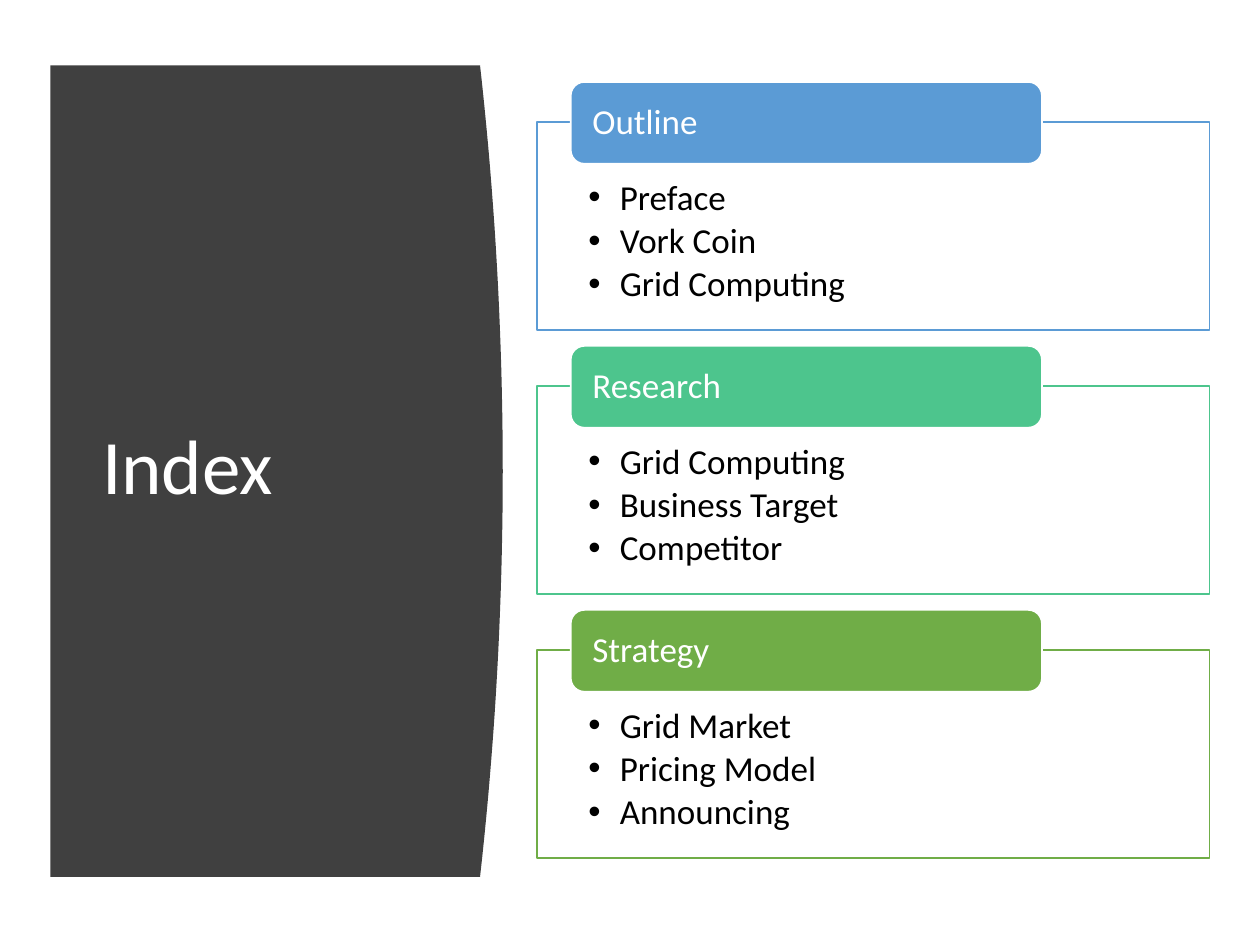
from lxml.etree import SubElement
from pptx import Presentation
from pptx.dml.color import RGBColor
from pptx.enum.shapes import MSO_SHAPE
from pptx.enum.text import MSO_ANCHOR, PP_ALIGN
from pptx.oxml.ns import qn
from pptx.util import Inches, Pt

TITLE = "Index"
SECTIONS = [
    ("Outline", "blue", ["Preface", "Vork Coin", "Grid Computing"]),
    ("Research", "mint", ["Grid Computing", "Business Target", "Competitor"]),
    ("Strategy", "green", ["Grid Market", "Pricing Model", "Announcing"]),
]
COLORS = {
    "dark": "404040", "white": "FFFFFF", "black": "000000",
    "blue": "5B9BD5", "mint": "4DC58D", "green": "70AD47",
}
FONT = "Calibri"

# Lengths in inches
BACKDROP_LEFT, BACKDROP_TOP, BACKDROP_BOTTOM = 0.4, 0.52, 6.96
BULGE_X, BULGE_DEPTH, BULGE_STEPS = 3.99, 0.18, 40
PANEL_LEFT, PANEL_TOP, PANEL_WIDTH, PANEL_HEIGHT = 4.26, 0.97, 5.34, 1.65
TAB_LEFT, TAB_WIDTH, TAB_HEIGHT, TAB_RISE = 4.53, 3.74, 0.65, 0.32
SECTION_PITCH = 2.095


def color(name):
    return RGBColor.from_string(COLORS[name])


def write(paragraph, text, size, color_name):
    paragraph.alignment = PP_ALIGN.LEFT
    paragraph.line_spacing = 0.9
    run = paragraph.add_run()
    run.text = text
    run.font.name = FONT
    run.font.size = Pt(size)
    run.font.color.rgb = color(color_name)


def add_bullet(paragraph):
    properties = paragraph._p.get_or_add_pPr()
    properties.set("marL", str(Inches(0.25)))
    properties.set("indent", str(Inches(-0.25)))
    SubElement(properties, qn("a:buFont"), typeface="Arial")
    SubElement(properties, qn("a:buChar"), char="•")


def set_frame(frame, anchor, left, top, right, bottom):
    frame.word_wrap = True
    frame.vertical_anchor = anchor
    frame.margin_left, frame.margin_top = Inches(left), Inches(top)
    frame.margin_right, frame.margin_bottom = Inches(right), Inches(bottom)


def add_box(slide, kind, box, fill, line):
    shape = slide.shapes.add_shape(kind, *map(Inches, box))
    shape.shadow.inherit = False
    shape.fill.solid()
    shape.fill.fore_color.rgb = color(fill)
    shape.line.color.rgb = color(line)
    shape.line.width = Pt(1)
    return shape


def add_backdrop(slide):
    """Dark block whose right edge is a shallow parabola."""
    half = (BACKDROP_BOTTOM - BACKDROP_TOP) / 2
    offsets = [2 * step / BULGE_STEPS - 1 for step in range(BULGE_STEPS + 1)]
    edge = [(BULGE_X - BULGE_DEPTH * t * t, BACKDROP_TOP + half * (1 + t))
            for t in offsets]
    outline = [(BACKDROP_LEFT, BACKDROP_TOP), *edge,
               (BACKDROP_LEFT, BACKDROP_BOTTOM)]
    start, *rest = [(Inches(x), Inches(y)) for x, y in outline]
    builder = slide.shapes.build_freeform(*start)
    builder.add_line_segments(rest)
    backdrop = builder.convert_to_shape()
    backdrop.shadow.inherit = False
    backdrop.fill.solid()
    backdrop.fill.fore_color.rgb = color("dark")
    backdrop.line.fill.background()


def add_title(slide):
    title = slide.shapes.title
    title.left, title.top = Inches(0.71), Inches(1.11)
    title.width, title.height = Inches(2.8), Inches(5.24)
    set_frame(title.text_frame, MSO_ANCHOR.MIDDLE, 0.1, 0.05, 0.1, 0.05)
    write(title.text_frame.paragraphs[0], TITLE, 44, "white")
    slide.shapes._spTree.append(title._element)  # in front of the backdrop


def add_section(slide, top, heading, accent, topics):
    panel = add_box(slide, MSO_SHAPE.RECTANGLE,
                    (PANEL_LEFT, top, PANEL_WIDTH, PANEL_HEIGHT),
                    "white", accent)
    frame = panel.text_frame
    set_frame(frame, MSO_ANCHOR.TOP, 0.41, 0.46, 0.41, 0.16)
    for index, topic in enumerate(topics):
        paragraph = frame.add_paragraph() if index else frame.paragraphs[0]
        write(paragraph, topic, 20, "black")
        paragraph.space_after = Pt(3)
        add_bullet(paragraph)

    tab = add_box(slide, MSO_SHAPE.ROUNDED_RECTANGLE,
                  (TAB_LEFT, top - TAB_RISE, TAB_WIDTH, TAB_HEIGHT),
                  accent, "white")
    set_frame(tab.text_frame, MSO_ANCHOR.MIDDLE, 0.14, 0, 0.14, 0)
    write(tab.text_frame.paragraphs[0], heading, 20, "white")


def main():
    deck = Presentation()
    deck.slide_width, deck.slide_height = Inches(10), Inches(7.5)
    slide = deck.slides.add_slide(deck.slide_layouts[5])
    add_backdrop(slide)
    add_title(slide)
    for row, section in enumerate(SECTIONS):
        add_section(slide, PANEL_TOP + row * SECTION_PITCH, *section)
    deck.save("out.pptx")


if __name__ == "__main__":
    main()
